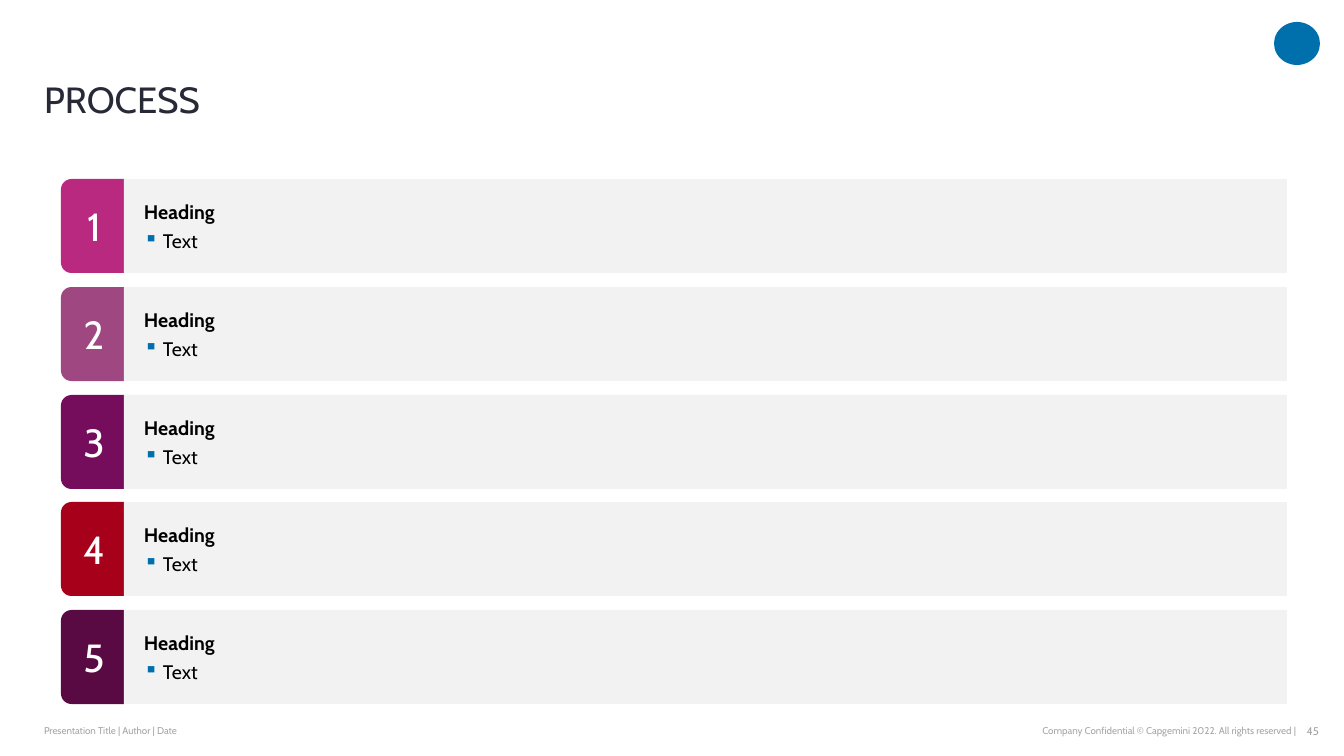
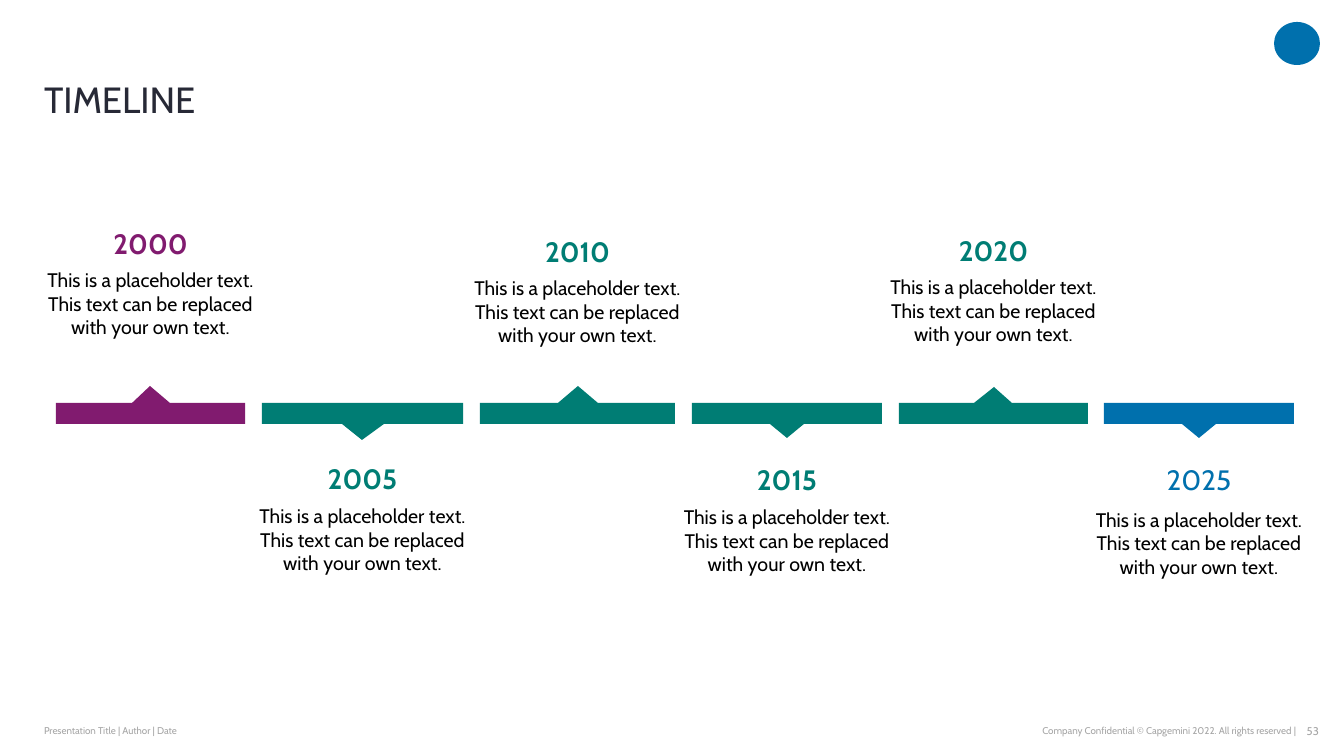
import pptx
import pptx.dml.color
import pptx.enum.shapes
import pptx.enum.text
import pptx.oxml
import pptx.oxml.ns
import pptx.util

EMU_PER_PX = 914400 / 100.8
FONT = "Cabin"
BLACK, WHITE, GREY, INK = "000000", "FFFFFF", "A6A6A6", "272936"
BLUE, TEAL, PURPLE, PANEL = "0070AD", "007D74", "811B6F", "F2F2F2"
STEP_COLORS = ["BA2980", "9E4780", "750D5C", "A6001A", "590A42"]

hex_color = pptx.dml.color.RGBColor.from_string
SHAPE = pptx.enum.shapes.MSO_SHAPE
ALIGN = pptx.enum.text.PP_ALIGN
ANCHOR = pptx.enum.text.MSO_ANCHOR
Pt = pptx.util.Pt


def px(*lengths):
    return [pptx.util.Emu(round(length * EMU_PER_PX)) for length in lengths]


def write(paragraph, text, size, color, bold=False, align=ALIGN.LEFT):
    paragraph.alignment = align
    run = paragraph.add_run()
    run.text = text
    run.font.name = FONT
    run.font.size = Pt(size)
    run.font.bold = bold
    run.font.color.rgb = hex_color(color)


prs = pptx.Presentation()
prs.slide_width, prs.slide_height = px(1344, 756)
solids = []  # (shape, fill colour)
frames = []  # (text frame, anchor, insets left, top, right, bottom)

# Title, emblem and footer of every slide
for heading, page in [("PROCESS", "45"), ("TIMELINE", "53")]:
    slide = prs.slides.add_slide(prs.slide_layouts[5])
    title = slide.shapes.title
    title.left, title.top, title.width, title.height = px(44, 42, 1207, 79)
    write(title.text_frame.paragraphs[0], heading, 26, INK)
    title.text_frame.paragraphs[0].line_spacing = 0.9
    frames.append((title.text_frame, ANCHOR.BOTTOM, (0, 0, 0, 0)))

    emblem = slide.shapes.add_shape(SHAPE.OVAL, *px(1274, 22, 46, 43))
    solids.append((emblem, BLUE))

    for left, width, text, size, align in [
        (44, 376, "Presentation Title | Author | Date", 7, ALIGN.LEFT),
        (796, 500, "Company Confidential © Capgemini 2022. All rights reserved |", 7, ALIGN.RIGHT),
        (1294, 25, page, 8, ALIGN.RIGHT),
    ]:
        footer = slide.shapes.add_textbox(*px(left, 719, width, 24)).text_frame
        write(footer.paragraphs[0], text, size, GREY, align=align)
        frames.append((footer, ANCHOR.MIDDLE, (0, 0, 0, 0)))

process, timeline = prs.slides

# Process: five numbered rows
first_top, last_top = 179, 610
row_height, tab_left, tab_width, panel_left = 94, 61, 63, 124
bullet_indent = px(19)[0]
for i, color in enumerate(STEP_COLORS):
    top = first_top + round(i * (last_top - first_top) / (len(STEP_COLORS) - 1))

    # The tab is turned a quarter, so its box is placed around the same centre
    turn = (row_height - tab_width) / 2
    tab = process.shapes.add_shape(
        SHAPE.ROUND_2_SAME_RECTANGLE,
        *px(tab_left - turn, top + turn, row_height, tab_width))
    tab.rotation = 270
    solids.append((tab, color))
    tab.text_frame._txBody.bodyPr.set("vert", "vert")
    write(tab.text_frame.paragraphs[0], str(i + 1), 28, WHITE, align=ALIGN.CENTER)
    frames.append((tab.text_frame, ANCHOR.MIDDLE, (5, 5, 5, 5)))

    panel = process.shapes.add_shape(
        SHAPE.RECTANGLE, *px(panel_left, top, 1163, row_height))
    solids.append((panel, PANEL))
    frames.append((panel.text_frame, ANCHOR.MIDDLE, (20, 5, 5, 5)))
    step_heading = panel.text_frame.paragraphs[0]
    write(step_heading, "Heading", 14, BLACK, bold=True)
    step_heading.space_after = Pt(2)

    step_text = panel.text_frame.add_paragraph()
    properties = step_text._p.get_or_add_pPr()
    properties.set("marL", str(bullet_indent))
    properties.set("indent", str(-bullet_indent))
    for bullet in (f'<a:buClr %s><a:srgbClr val="{BLUE}"/></a:buClr>',
                   '<a:buChar %s char="▪"/>'):
        properties.append(pptx.oxml.parse_xml(bullet % pptx.oxml.ns.nsdecls("a")))
    write(step_text, "Text", 14, BLACK)
    step_text.space_before = step_text.space_after = Pt(2)

# Timeline: bars whose tips point to the captions, alternately up and down
bar_top, bar_bottom = 403, 424
caption_width = 250
milestones = [
    # year, colour, bar left, bar width, half tip width, tip y, caption top, caption height
    ("2000", PURPLE, 56, 189, 19, 386, 221, 184),
    ("2005", TEAL, 262, 201, 21, 440, 457, 182),
    ("2010", TEAL, 480, 195, 20, 386, 229, 171),
    ("2015", TEAL, 692, 190, 17, 438, 458, 180),
    ("2020", TEAL, 899, 189, 19, 387, 228, 173),
    ("2025", BLUE, 1104, 190, 17, 438, 458, 180),
]
for year, color, left, width, half_tip, tip_y, caption_top, caption_height in milestones:
    center = left + width / 2
    near, far = (bar_top, bar_bottom) if tip_y < bar_top else (bar_bottom, bar_top)
    outline = timeline.shapes.build_freeform(center, tip_y, scale=EMU_PER_PX)
    outline.add_line_segments([
        (center + half_tip, near), (left + width, near), (left + width, far),
        (left, far), (left, near), (center - half_tip, near)])
    solids.append((outline.convert_to_shape(), color))

    caption = timeline.shapes.add_textbox(
        *px(center - caption_width / 2, caption_top, caption_width, caption_height)).text_frame
    frames.append((caption, ANCHOR.TOP, (10, 5, 10, 5)))
    is_last = year == milestones[-1][0]
    year_line = caption.paragraphs[0]
    write(year_line, year, 20, color, bold=not is_last, align=ALIGN.CENTER)
    year_line.space_after = Pt(8 if is_last else 6)
    description = caption.add_paragraph()
    write(description,
          "This is a placeholder text. This text can be replaced with your own text.",
          14, BLACK, align=ALIGN.CENTER)
    description.space_after = Pt(8)

# Shared finish of shapes and text frames
for shape, color in solids:
    shape.shadow.inherit = False
    shape.fill.solid()
    shape.fill.fore_color.rgb = hex_color(color)
    shape.line.fill.background()

for frame, anchor, insets in frames:
    frame.word_wrap = True
    frame.auto_size = pptx.enum.text.MSO_AUTO_SIZE.NONE
    frame.vertical_anchor = anchor
    (frame.margin_left, frame.margin_top,
     frame.margin_right, frame.margin_bottom) = px(*insets)

prs.save("out.pptx")
